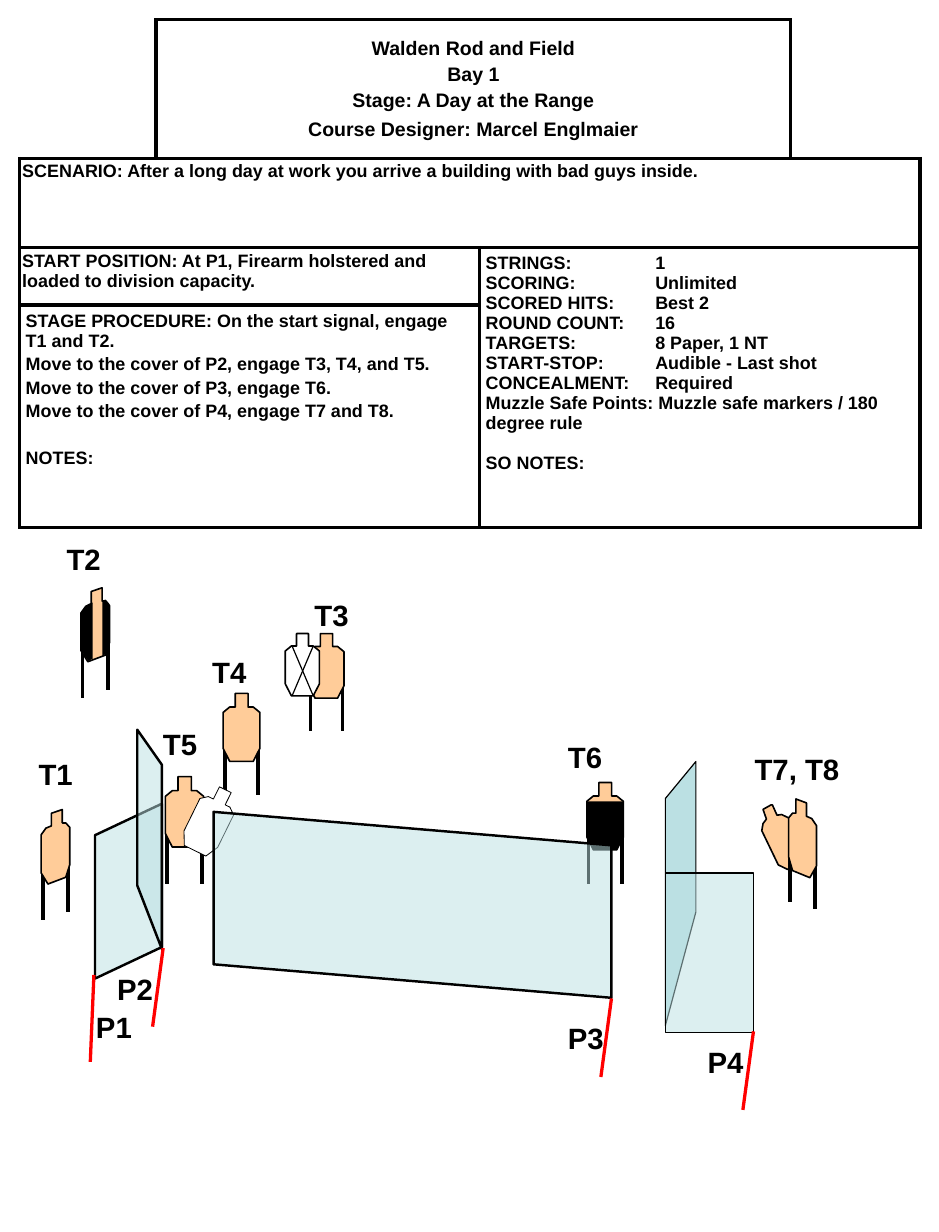
from lxml import etree
from pptx import Presentation
from pptx.dml.color import RGBColor
from pptx.enum import shapes, text
from pptx.oxml import ns
from pptx.util import Pt

BLACK = RGBColor(0, 0, 0)
WHITE = RGBColor(255, 255, 255)
RED = RGBColor(255, 0, 0)
TAN = RGBColor(0xFF, 0xCC, 0x99)
GLASS = RGBColor(0xBB, 0xE0, 0xE3)

FRONT = [(.33, 0), (.68, 0), (.68, .2), (.82, .2), (1, .28), (1, .81),
         (.82, 1), (.18, 1), (0, .81), (0, .28), (.18, .2), (.33, .2)]
SIDE = [(.36, .05), (.74, 0), (.74, .18), (.86, .18), (1, .24), (1, .74),
        (.86, .91), (.24, 1), (0, .85), (0, .34), (.17, .25), (.36, .22)]
TILT = [(.22, 0), (.03, .07), (.11, .22), (.03, .29), (0, .4), (.39, .93), (.61, 1),
        (1, .87), (.97, .65), (.63, .2), (.47, .15), (.36, .16), (.25, 0)]
LOW = [(0, .28), (1, .28), (1, .8), (.82, 1), (.18, 1), (0, .8)]
LEFT = [(0, .84), (.25, .99), (.41, .96), (.41, .2), (.25, .22), (0, .33)]
RIGHT = [(.75, .17), (.87, .16), (1, .22), (1, .73), (.9, .89), (.75, .92)]
EDGE = [(.62, .98), (.97, .85), (.97, .65), (.62, .19)]
RECT = [(0, 0), (1, 0), (1, 1), (0, 1)]
RISE = [(0, .18), (1, 0), (1, .82), (0, 1)]
FALL = [(0, 0), (1, .18), (1, 1), (0, .82)]
DOOR = [(0, 0), (1, .16), (1, 1), (0, .71)]
BACK = [(1, 0), (1, .57), (0, 1), (0, .14)]

TITLE = [("Walden Rod and Field", 0), ("Bay 1", 2.4), ("Stage: A Day at the Range", 2.4),
         ("Course Designer: Marcel Englmaier", 4.2)]
SCENE = [("SCENARIO: After a long day at work you arrive a building with bad guys inside.", 0)]
START = [("START POSITION: At P1, Firearm holstered and loaded to division capacity.", 0)]
STEPS = [("STAGE PROCEDURE: On the start signal, engage T1 and T2.", 0),
         ("Move to the cover of P2, engage T3, T4, and T5.", 2.2),
         ("Move to the cover of P3, engage T6.", 2.2),
         ("Move to the cover of P4, engage T7 and T8.", 2.2),
         ("NOTES:", 16.6)]
RULES = [("STRINGS:\t1", 0), ("SCORING:\tUnlimited", 0), ("SCORED HITS:\tBest 2", 0),
         ("ROUND COUNT:\t16", 0), ("TARGETS:\t8 Paper, 1 NT", 0),
         ("START-STOP:\tAudible - Last shot", 0), ("CONCEALMENT:\tRequired", 0),
         ("Muzzle Safe Points: Muzzle safe markers / 180 degree rule", 0),
         ("SO NOTES:", 12.2)]


def style(para, size):
    font = para.font
    font.name, font.size, font.bold = "Arial", Pt(size), True
    font.color.rgb = BLACK


def border(cell, sides):
    props = cell._tc.get_or_add_tcPr()
    for i, side in enumerate("LRTB"):
        line = etree.Element(ns.qn(f"a:ln{side}"), w=str(Pt(2.25)))
        if side in sides:
            fill = etree.SubElement(line, ns.qn("a:solidFill"))
            etree.SubElement(fill, ns.qn("a:srgbClr"), val=str(BLACK))
        else:
            etree.SubElement(line, ns.qn("a:noFill"))
        props.insert(i, line)


def write(cell, rows, size, pad):
    cell.margin_left = cell.margin_right = Pt(pad[0])
    cell.margin_top = cell.margin_bottom = Pt(pad[1])
    frame = cell.text_frame
    for i, (words, gap) in enumerate(rows):
        para = frame.add_paragraph() if i else frame.paragraphs[0]
        para.text = words
        if gap:
            para.space_before = Pt(gap)
        if "\t" in words:
            tabs = etree.SubElement(para._p.get_or_add_pPr(), ns.qn("a:tabLst"))
            etree.SubElement(tabs, ns.qn("a:tab"), pos=str(Pt(104)), algn="l")
        style(para, size)


def sheet(slide, x, y, w, h):
    table = slide.shapes.add_table(4, 4, Pt(x), Pt(y), Pt(w), Pt(h)).table
    table.first_row = table.horz_banding = False
    for col, part in zip(table.columns, (83.5, 198.7, 190.8, 79.2)):
        col.width = Pt(part)
    for row, part in zip(table.rows, (85, 54.7, 35.3, 136.8)):
        row.height = Pt(part)
    for r in range(4):
        for c in range(4):
            cell = table.cell(r, c)
            cell.fill.solid()
            cell.fill.fore_color.rgb = WHITE
            border(cell, {(0, 0): "RB", (0, 3): "LB"}.get((r, c), "LRTB"))
    for a, b in (((0, 1), (0, 2)), ((1, 0), (1, 3)), ((2, 0), (2, 1)),
                 ((2, 2), (3, 3)), ((3, 0), (3, 1))):
        table.cell(*a).merge(table.cell(*b))
    head = table.cell(0, 1)
    write(head, TITLE, 12, (3.6, 3.6))
    head.vertical_anchor = text.MSO_ANCHOR.MIDDLE
    for para in head.text_frame.paragraphs:
        para.alignment = text.PP_ALIGN.CENTER
    write(table.cell(1, 0), SCENE, 11, (1.4, 2.9))
    table.cell(1, 0).text_frame.paragraphs[0].line_spacing = 0.9
    write(table.cell(2, 0), START, 11, (1.4, 2.2))
    write(table.cell(2, 2), RULES, 11, (3.6, 3.6))
    write(table.cell(3, 0), STEPS, 11, (3.6, 3.6))


def stroke(slide, x, y, end_x, end_y, color, width):
    line = slide.shapes.add_connector(shapes.MSO_CONNECTOR.STRAIGHT,
                                      Pt(x), Pt(y), Pt(end_x), Pt(end_y))
    line.line.color.rgb = color
    line.line.width = Pt(width)
    etree.SubElement(line._element.spPr, ns.qn("a:effectLst"))


def trace(slide, box, form, fill, width=0, turn=0, clear=False):
    x, y, w, h = box
    dots = [(Pt(x + w * a), Pt(y + h * b)) for a, b in form]
    pen = slide.shapes.build_freeform(*dots[0], scale=1)
    pen.add_line_segments(dots[1:], close=True)
    shape = pen.convert_to_shape()
    shape.shadow.inherit = False
    shape.rotation = turn
    shape.fill.solid()
    shape.fill.fore_color.rgb = fill
    if width:
        shape.line.color.rgb = BLACK
        shape.line.width = Pt(width)
    else:
        shape.line.fill.background()
    if clear:
        tint = shape._element.spPr.find(".//" + ns.qn("a:srgbClr"))
        etree.SubElement(tint, ns.qn("a:alpha"), val="50000")


def target(slide, box, form, feet, paint=()):
    x, y, w, h = box
    for leg, foot in zip((x + 1, x + w - 1), feet):
        stroke(slide, leg, y + foot - 31, leg, y + foot, BLACK, 2.25)
    trace(slide, box, form, TAN, 1)
    for part in paint:
        trace(slide, box, part, BLACK)


def ban(slide, x, y, w, h):
    trace(slide, (x, y, w, h), FRONT, WHITE, 1)
    for a, b in ((.2, .82), (.82, .2)):
        stroke(slide, x + a * w, y + .2 * h, x + b * w, y + h, BLACK, .75)


def label(slide, x, y, w, words):
    box = slide.shapes.add_textbox(Pt(x), Pt(y), Pt(w), Pt(28.8))
    frame = box.text_frame
    frame.word_wrap = True
    para = frame.paragraphs[0]
    para.text = words
    style(para, 18)


def bay(slide, x, y):
    def at(left, top, w, h):
        return x + left, y + top, w, h

    target(slide, at(25.2, 172.8, 17.6, 45.7), SIDE, (67.5, 63))
    target(slide, at(49.7, 36.7, 17.5, 45.4), SIDE, (67.5, 63), (LEFT, RIGHT))
    trace(slide, at(58.3, 169.2, 41, 107.3), RISE, GLASS, 1.5, clear=True)
    trace(slide, at(84.2, 123.8, 15.1, 134.6), DOOR, GLASS, 1.5, clear=True)
    target(slide, at(136.9, 101.5, 22.5, 41.7), FRONT, (62.6, 62.6))
    target(slide, at(101.5, 152.6, 23.4, 43.2), FRONT, (65.7, 65.7))
    trace(slide, at(117.4, 158.4, 23, 41.8), FRONT, WHITE, .5, turn=26.2)
    target(slide, at(189.4, 64.8, 21.6, 39.6), FRONT, (59.8, 59.8))
    ban(slide, *at(175, 64.8, 20.9, 38.2))
    trace(slide, at(408.2, 143.3, 18.7, 162), BACK, GLASS, .75)
    trace(slide, at(408.2, 211.7, 54, 97.9), RECT, GLASS, .75, clear=True)
    target(slide, at(360, 156.2, 22.4, 41.3), FRONT, (62, 62), (LOW,))
    trace(slide, at(131, 174.2, 244.1, 114.1), FALL, GLASS, 1.5, clear=True)
    tilt = at(467.3, 169.9, 26, 39.6)
    trace(slide, tilt, TILT, TAN, 1)
    trace(slide, tilt, EDGE, BLACK)
    flip = [(1 - a, b) for a, b in SIDE]
    target(slide, at(483.8, 166.3, 17.1, 48.3), flip, (63, 67.5))
    for left, top, run, drop in ((57.6, 274.3, 2.2, 53.3), (100.1, 257.8, 6.5, 48.2),
                                 (375.1, 288.7, 6.5, 48.2), (462.2, 308.9, 6.5, 48.2)):
        stroke(slide, x + left, y + top, x + left - run, y + top + drop, RED, 2)
    for words, left, top in (("P1", 51.8, 291.6), ("P2", 64.8, 268.6), ("P3", 341.3, 298.8),
                             ("P4", 427, 313.2), ("T2", 33.8, 4.3), ("T1", 16.6, 136.8),
                             ("T5", 92.9, 118.1), ("T3", 185.8, 38.9), ("T4", 123.1, 74.2),
                             ("T6", 341.3, 126), ("T7, T8", 455.8, 133.2)):
        wide = 83.5 if "," in words else 41.8 if words[0] == "P" else 54.7
        label(slide, x + left, y + top, wide, words)


def main():
    deck = Presentation()
    deck.slide_width, deck.slide_height = Pt(576), Pt(756)
    slide = deck.slides.add_slide(deck.slide_layouts[6])
    sheet(slide, 12.2, 12.2, 552.2, 311.8)
    bay(slide, 0, 324)
    deck.save("out.pptx")


if __name__ == "__main__":
    main()
